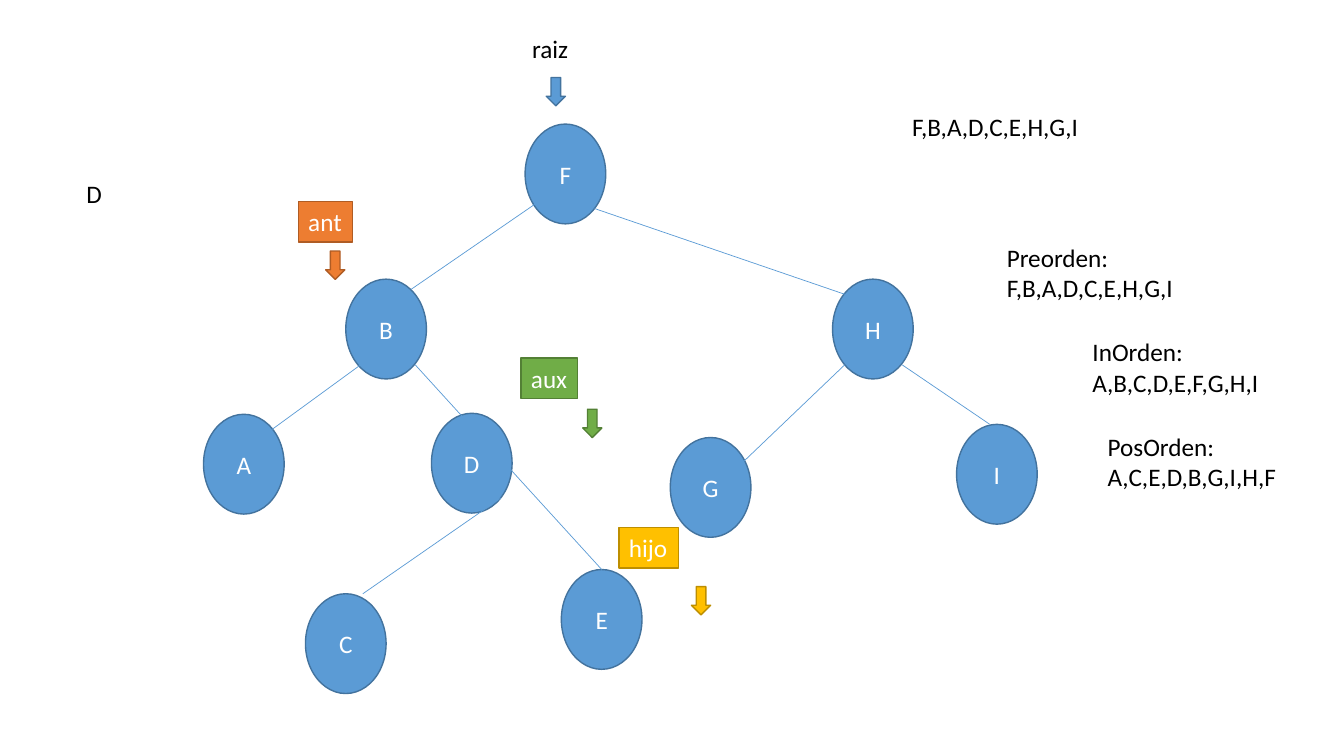
from typing import NamedTuple, Optional

from lxml.etree import SubElement
from pptx import Presentation
from pptx.dml.color import RGBColor
from pptx.enum.shapes import MSO_CONNECTOR, MSO_SHAPE
from pptx.enum.text import MSO_ANCHOR, MSO_AUTO_SIZE, PP_ALIGN
from pptx.oxml.ns import qn
from pptx.util import Pt

COLORS = {
    "white": "FFFFFF", "black": "000000",
    "blue": "5B9BD5", "blue_rim": "43739E",
    "green": "70AD47", "green_rim": "538035",
    "orange": "ED7D31", "orange_rim": "AF5C24",
    "gold": "FFC000", "gold_rim": "BD8E00",
}
FONT = "Calibri"
NODE_W, NODE_H = 57.6, 71.3
ARROW_W, ARROW_H = 13.7, 20.2
ROW_H, PAIR_H = 29, 51


class Node(NamedTuple):
    key: str
    x: float
    y: float


class Edge(NamedTuple):
    x1: float
    y1: float
    x2: float
    y2: float
    child: Optional[str] = None  # node whose top the line joins


class Arrow(NamedTuple):
    x: float
    y: float
    color: str


class Label(NamedTuple):
    text: str
    x: float
    y: float
    width: float
    color: Optional[str] = None


NODES = [
    Node("F", 375.1, 88.6), Node("B", 247, 199.4), Node("D", 308.2, 295.2),
    Node("H", 594.7, 199.4), Node("G", 478.8, 312.5), Node("I", 683.3, 303.1),
    Node("A", 145.4, 295.9), Node("E", 401, 406.8), Node("C", 218.2, 424.1),
]
EDGES = [
    Edge(383.8, 144.7, 293.8, 206.6),
    Edge(424.8, 149, 603.4, 210.2),
    Edge(296.6, 260.6, 429.8, 406.8, "E"),
    Edge(603.4, 260.6, 522, 338.4),
    Edge(644.4, 260.6, 707, 303.1),
    Edge(263.5, 256.3, 194.4, 306.7),
    Edge(357.8, 355.7, 259.2, 424.1),
]
ARROWS = [
    Arrow(390.2, 55.4, "blue"), Arrow(416.2, 292.3, "green"),
    Arrow(232.6, 179.3, "orange"), Arrow(493.9, 419, "gold"),
]
LABELS = [
    Label("D", 54.7, 123.8, 25.9),
    Label("raiz", 373, 20.2, 40.3),
    Label("aux", 372.2, 255.6, 40.3, "green"),
    Label("ant", 213.1, 144, 38.9, "orange"),
    Label("hijo", 442.1, 376.6, 42.5, "gold"),
    Label("F,B,A,D,C,E,H,G,I", 644.4, 76.3, 134.6),
    Label("Preorden:\nF,B,A,D,C,E,H,G,I", 712.1, 169.2, 134.6),
    Label("InOrden:\nA,B,C,D,E,F,G,H,I", 773.3, 236.9, 133.9),
    Label("PosOrden:\nA,C,E,D,B,G,I,H,F", 784.1, 304.6, 136.1),
]


def rgb(name: str) -> RGBColor:
    return RGBColor.from_string(COLORS[name])


def write(shape, text: str, *, color: str = "black", size: float = 18,
          align=PP_ALIGN.LEFT, anchor=MSO_ANCHOR.TOP, fit: bool = True) -> None:
    """Set the text; fit makes the shape hug unwrapped lines."""
    frame = shape.text_frame
    frame.text = text
    frame.word_wrap = not fit
    frame.auto_size = MSO_AUTO_SIZE.SHAPE_TO_FIT_TEXT if fit else MSO_AUTO_SIZE.NONE
    frame.vertical_anchor = anchor
    for para in frame.paragraphs:
        para.alignment = align
        for run in para.runs:
            run.font.name = FONT
            run.font.size = Pt(size)
            run.font.color.rgb = rgb(color)


def add_form(slide, kind, x: float, y: float, width: float, height: float,
             color: str):
    form = slide.shapes.add_shape(kind, Pt(x), Pt(y), Pt(width), Pt(height))
    form.shadow.inherit = False
    form.fill.solid()
    form.fill.fore_color.rgb = rgb(color)
    form.line.color.rgb = rgb(color + "_rim")
    form.line.width = Pt(1)
    return form


def add_node(slide, node: Node):
    form = add_form(slide, MSO_SHAPE.OVAL, node.x, node.y, NODE_W, NODE_H, "blue")
    write(form, node.key, color="white", align=PP_ALIGN.CENTER,
          anchor=MSO_ANCHOR.MIDDLE, fit=False)
    return form


def add_edge(slide, edge: Edge, ovals: dict) -> None:
    line = slide.shapes.add_connector(
        MSO_CONNECTOR.STRAIGHT, Pt(edge.x1), Pt(edge.y1), Pt(edge.x2), Pt(edge.y2))
    if edge.child:
        line.end_connect(ovals[edge.child], 0)
    line.line.color.rgb = rgb("blue")
    line.line.width = Pt(0.5)
    SubElement(line._element.spPr, qn("a:effectLst"))


def add_label(slide, label: Label) -> None:
    height = PAIR_H if "\n" in label.text else ROW_H
    if label.color:
        box = add_form(slide, MSO_SHAPE.RECTANGLE, label.x, label.y,
                       label.width, height, label.color)
    else:
        box = slide.shapes.add_textbox(
            Pt(label.x), Pt(label.y), Pt(label.width), Pt(height))
    write(box, label.text, color="white" if label.color else "black")


def main() -> None:
    deck = Presentation()
    deck.slide_width, deck.slide_height = Pt(960), Pt(540)
    slide = deck.slides.add_slide(deck.slide_layouts[6])
    ovals = {node.key: add_node(slide, node) for node in NODES}
    for edge in EDGES:
        add_edge(slide, edge, ovals)
    for arrow in ARROWS:
        add_form(slide, MSO_SHAPE.DOWN_ARROW, arrow.x, arrow.y,
                 ARROW_W, ARROW_H, arrow.color)
    for label in LABELS:
        add_label(slide, label)
    deck.save("out.pptx")


if __name__ == "__main__":
    main()
